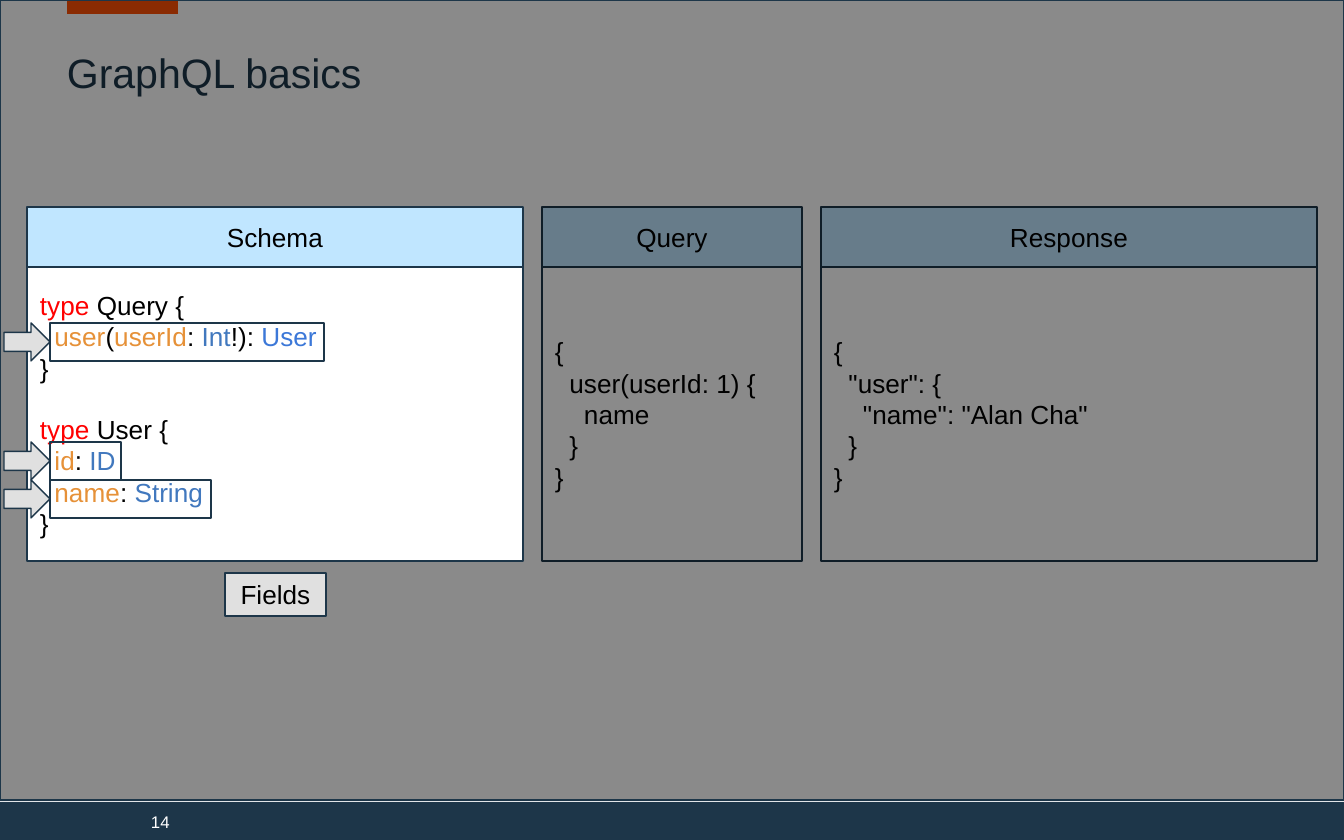
"""Build the GraphQL basics slide that highlights the fields of a schema."""

from dataclasses import dataclass
from typing import Optional

import lxml.etree
import pptx
import pptx.dml.color
import pptx.enum.shapes
import pptx.enum.text
import pptx.oxml.ns
import pptx.util

RGBColor = pptx.dml.color.RGBColor
ShapeKind = pptx.enum.shapes.MSO_SHAPE
Align = pptx.enum.text.PP_ALIGN
Anchor = pptx.enum.text.MSO_ANCHOR

NAVY = RGBColor(0x1D, 0x36, 0x49)
ACCENT = RGBColor(0xFF, 0x50, 0x04)
SKY = RGBColor(0xC0, 0xE6, 0xFF)
GREY = RGBColor(0xE0, 0xE0, 0xE0)
WHITE = RGBColor(0xFF, 0xFF, 0xFF)
BLACK = RGBColor(0x00, 0x00, 0x00)
RED = RGBColor(0xFF, 0x00, 0x00)
ORANGE = RGBColor(0xE6, 0x91, 0x38)
BLUE = RGBColor(0x41, 0x78, 0xBE)
BRIGHT_BLUE = RGBColor(0x3C, 0x78, 0xD8)

EMU_PER_PX = 914400 / 134.4
FONT = "Arial"
CODE_SIZE = 14
INSET = 13
PANEL_LEFT, PANEL_GAP = 27, 19
HEADER_TOP, HEADER_HEIGHT = 207, 60
BODY_HEIGHT = 294
ARROW_LEFT, ARROW_WIDTH, FIELD_HEIGHT = 4, 46, 38


@dataclass(frozen=True)
class Rect:
    left: int
    top: int
    width: int
    height: int


@dataclass(frozen=True)
class Span:
    text: str
    color: RGBColor = BLACK


@dataclass(frozen=True)
class Line:
    spans: tuple[Span, ...]
    space_before: int = 0


@dataclass(frozen=True)
class Panel:
    title: str
    width: int
    lines: tuple[Line, ...]
    fill: Optional[RGBColor] = None


@dataclass(frozen=True)
class Field:
    top: int
    width: int


def plain(*texts: str) -> tuple[Line, ...]:
    return tuple(Line((Span(text),)) for text in texts)


SCHEMA = Panel("Schema", 496, (
    Line((Span("type ", RED), Span("Query {"))),
    Line((Span("  user", ORANGE), Span("("), Span("userId", ORANGE), Span(": "),
          Span("Int", BLUE), Span("!): "), Span("User", BRIGHT_BLUE))),
    Line((Span("}"),)),
    Line((Span("type ", RED), Span("User {")), space_before=16),
    Line((Span("  id", ORANGE), Span(": "), Span("ID", BLUE))),
    Line((Span("  name", ORANGE), Span(": "), Span("String", BLUE))),
    Line((Span("}"),)),
), WHITE)
QUERY = Panel("Query", 260, plain("{", "  user(userId: 1) {", "    name", "  }", "}"))
RESPONSE = Panel("Response", 496, plain(
    "{", '  "user": {', '    "name": "Alan Cha"', "  }", "}"))
PANELS = (SCHEMA, QUERY, RESPONSE)
FIELDS = (Field(323, 274), Field(442, 71), Field(480, 161))


def px(length: int) -> pptx.util.Emu:
    return pptx.util.Emu(round(length * EMU_PER_PX))


def place(rect: Rect) -> tuple[pptx.util.Emu, ...]:
    return px(rect.left), px(rect.top), px(rect.width), px(rect.height)


def write(shape, lines: tuple[Line, ...], size: int = CODE_SIZE, align=Align.LEFT,
          anchor=Anchor.MIDDLE, inset: int = INSET, spacing: Optional[float] = None) -> None:
    frame = shape.text_frame
    frame.word_wrap = True
    frame.vertical_anchor = anchor
    frame.margin_left = frame.margin_right = px(inset)
    frame.margin_top = frame.margin_bottom = px(inset)
    for index, line in enumerate(lines):
        para = frame.add_paragraph() if index else frame.paragraphs[0]
        para.alignment = align
        if spacing:
            para.line_spacing = spacing
        if line.space_before:
            para.space_before = pptx.util.Pt(line.space_before)
        para.font.name = FONT
        para.font.size = pptx.util.Pt(size)
        same_color = len({span.color for span in line.spans}) == 1
        if same_color:
            para.font.color.rgb = line.spans[0].color
        for span in line.spans:
            run = para.add_run()
            run.text = span.text
            if not same_color:
                run.font.color.rgb = span.color


def add_box(page, rect: Rect, fill: Optional[RGBColor] = None,
            line: Optional[RGBColor] = NAVY, kind=ShapeKind.RECTANGLE):
    box = page.shapes.add_shape(kind, *place(rect))
    box.shadow.inherit = False
    if fill is None:
        box.fill.background()
    else:
        box.fill.solid()
        box.fill.fore_color.rgb = fill
    if line is None:
        box.line.fill.background()
    else:
        box.line.color.rgb = line
        box.line.width = pptx.util.Pt(0.75)
    return box


def add_label(page, rect: Rect, text: str, fill: RGBColor) -> None:
    write(add_box(page, rect, fill), plain(text), align=Align.CENTER)


def add_panel(page, panel: Panel, left: int) -> None:
    body_top = HEADER_TOP + HEADER_HEIGHT
    body = add_box(page, Rect(left, body_top, panel.width, BODY_HEIGHT), panel.fill)
    write(body, panel.lines)
    add_label(page, Rect(left, HEADER_TOP, panel.width, HEADER_HEIGHT), panel.title, SKY)


def add_field(page, field: Field) -> None:
    add_box(page, Rect(ARROW_LEFT, field.top, ARROW_WIDTH, FIELD_HEIGHT), GREY,
            kind=ShapeKind.RIGHT_ARROW)
    add_box(page, Rect(ARROW_LEFT + ARROW_WIDTH, field.top, field.width, FIELD_HEIGHT))


def add_accent(page) -> None:
    accent = page.shapes.add_connector(
        pptx.enum.shapes.MSO_CONNECTOR.STRAIGHT, px(67), px(7), px(178), px(7))
    accent.line.color.rgb = ACCENT
    accent.line.width = pptx.util.Pt(8)
    lxml.etree.SubElement(accent._element.spPr, pptx.oxml.ns.qn("a:effectLst"))


def add_overlay(page) -> None:
    overlay = add_box(page, Rect(0, 0, 1344, 800), BLACK)
    color = overlay._element.spPr.find(".//" + pptx.oxml.ns.qn("a:srgbClr"))
    lxml.etree.SubElement(color, pptx.oxml.ns.qn("a:alpha"), val="46000")


def main() -> None:
    deck = pptx.Presentation()
    deck.slide_width, deck.slide_height = px(1344), px(840)
    page = deck.slides.add_slide(deck.slide_layouts[6])

    add_accent(page)
    add_box(page, Rect(0, 802, 1344, 38), NAVY, line=None)
    number = page.shapes.add_textbox(*place(Rect(151, 805, 122, 27)))
    write(number, (Line((Span("14", WHITE),)),), 9, anchor=Anchor.BOTTOM, inset=0, spacing=0.9)
    title = page.shapes.add_textbox(*place(Rect(67, 34, 1210, 51)))
    write(title, (Line((Span("GraphQL basics", NAVY),)),), 22, anchor=Anchor.TOP,
          inset=0, spacing=1.28)

    lefts = {}
    left = PANEL_LEFT
    for panel in PANELS:
        lefts[panel.title] = left
        left += panel.width + PANEL_GAP
    for panel in (RESPONSE, QUERY):
        add_panel(page, panel, lefts[panel.title])
    add_overlay(page)
    add_panel(page, SCHEMA, lefts[SCHEMA.title])
    for field in FIELDS:
        add_field(page, field)
    add_label(page, Rect(225, 573, 101, 43), "Fields", GREY)
    deck.save("out.pptx")


if __name__ == "__main__":
    main()
